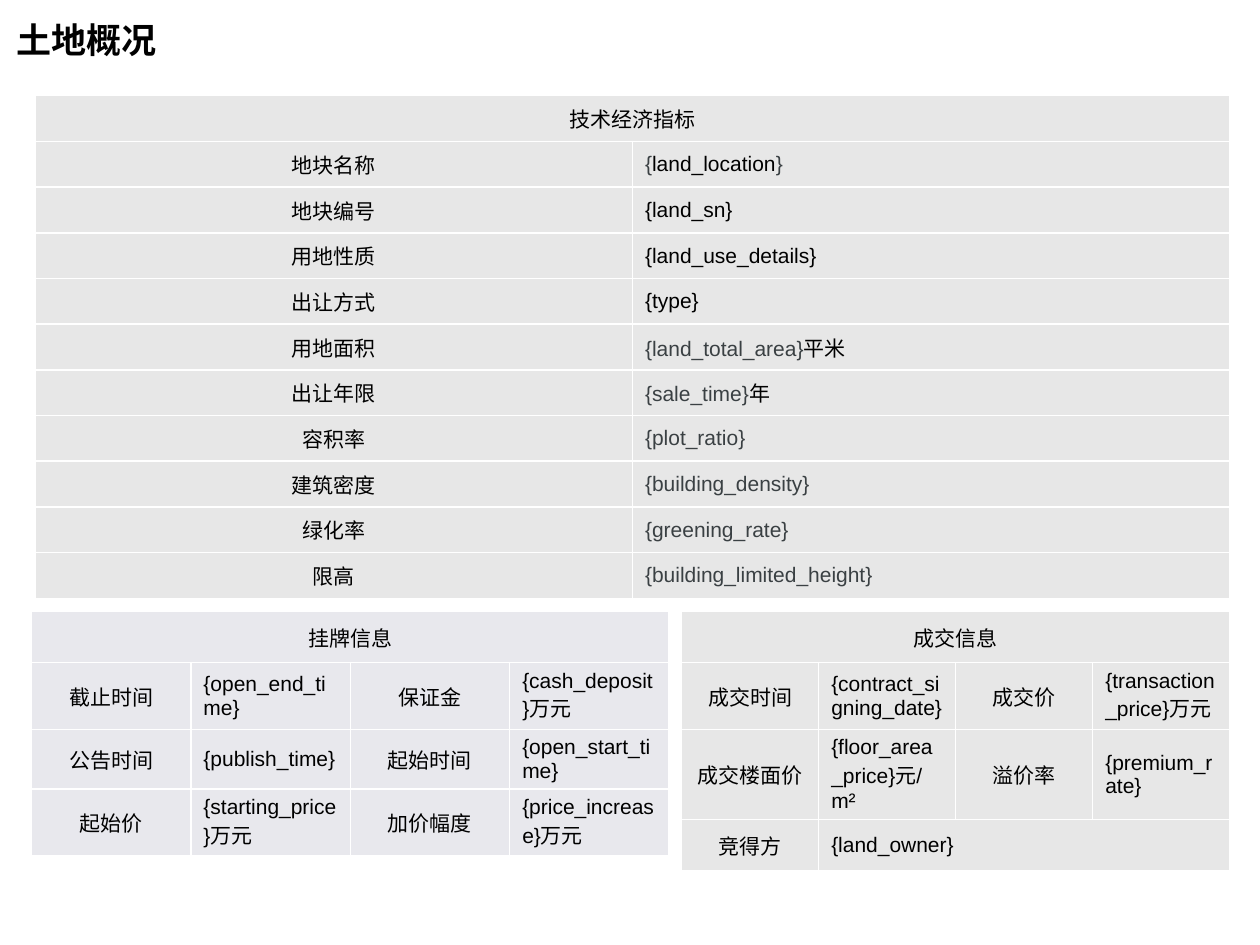
import pptx
import pptx.util
import pptx.dml.color
import pptx.enum.text

Inches, Pt = pptx.util.Inches, pptx.util.Pt
ALIGN = pptx.enum.text.PP_ALIGN
MIDDLE = pptx.enum.text.MSO_ANCHOR.MIDDLE
COLORS = {"text": "000000", "muted": "3A4043", "grey": "E7E7E7", "lilac": "E8E8ED"}


def rgb(name):
    return pptx.dml.color.RGBColor.from_string(COLORS[name])


def add_info_table(slide, box, row_height, fill, heading, rows):
    """Heading across the top; below it, label and value columns alternate."""
    left, top, width = box
    columns = max(len(row) for row in rows)
    table = slide.shapes.add_table(
        len(rows) + 1, columns, Inches(left), Inches(top),
        Inches(width), Inches(row_height * (len(rows) + 1))).table
    table.first_row = table.horz_banding = False
    for r, row in enumerate([[heading]] + rows):
        table.rows[r].height = Inches(row_height)
        # The last entry of a short row spans the remaining columns
        if len(row) < columns:
            table.cell(r, len(row) - 1).merge(table.cell(r, columns - 1))
        for c in range(columns):
            cell = table.cell(r, c)
            cell.fill.solid()
            cell.fill.fore_color.rgb = rgb(fill)
            cell.vertical_anchor = MIDDLE
            if c >= len(row):
                continue
            line = cell.text_frame.paragraphs[0]
            line.alignment = ALIGN.LEFT if c % 2 else ALIGN.CENTER
            line.font.name = "Arial"
            line.font.size = Pt(12)
            pieces = [(row[c], "text")] if isinstance(row[c], str) else row[c]
            for words, color in pieces:
                run = line.add_run()
                run.text = words
                run.font.color.rgb = rgb(color)


deck = pptx.Presentation()
deck.slide_width, deck.slide_height = Inches(10), Inches(7.5)
slide = deck.slides.add_slide(deck.slide_layouts[5])

# Title
title = slide.shapes.title
title.left, title.top = Inches(0.03), Inches(0.08)
title.width, title.height = Inches(7.58), Inches(0.47)
title.text_frame.text = "土地概况"
title.text_frame.vertical_anchor = MIDDLE
title.text_frame.auto_size = pptx.enum.text.MSO_AUTO_SIZE.NONE
heading = title.text_frame.paragraphs[0]
heading.alignment = ALIGN.LEFT
heading.font.name = "Arial"
heading.font.size = Pt(20)
heading.font.bold = True
heading.font.color.rgb = rgb("text")

# Technical and economic indicators
add_info_table(slide, (0.28, 0.76, 9.48), 3.99 / 11, "grey", "技术经济指标", [
    ["地块名称", [("{", "muted"), ("land_location", "text"), ("}", "muted")]],
    ["地块编号", "{land_sn}"],
    ["用地性质", "{land_use_details}"],
    ["出让方式", "{type}"],
    ["用地面积", [("{land_total_area}", "muted"), ("平米", "text")]],
    ["出让年限", [("{sale_time}", "muted"), ("年", "text")]],
    ["容积率", [("{plot_ratio}", "muted")]],
    ["建筑密度", [("{building_density}", "muted")]],
    ["绿化率", [("{greening_rate}", "muted")]],
    ["限高", [("{building_limited_height}", "muted")]],
])

# Transaction information
add_info_table(slide, (5.41, 4.85, 4.35), 0.41, "grey", "成交信息", [
    ["成交时间", "{contract_signing_date}", "成交价", "{transaction_price}万元"],
    ["成交楼面价", "{floor_area_price}元/m²", "溢价率", "{premium_rate}"],
    ["竞得方", "{land_owner}"],
])

# Listing information
add_info_table(slide, (0.25, 4.85, 5.06), 0.41, "lilac", "挂牌信息", [
    ["截止时间", "{open_end_time}", "保证金", "{cash_deposit}万元"],
    ["公告时间", "{publish_time}", "起始时间", "{open_start_time}"],
    ["起始价", "{starting_price}万元", "加价幅度", "{price_increase}万元"],
])

deck.save("out.pptx")
